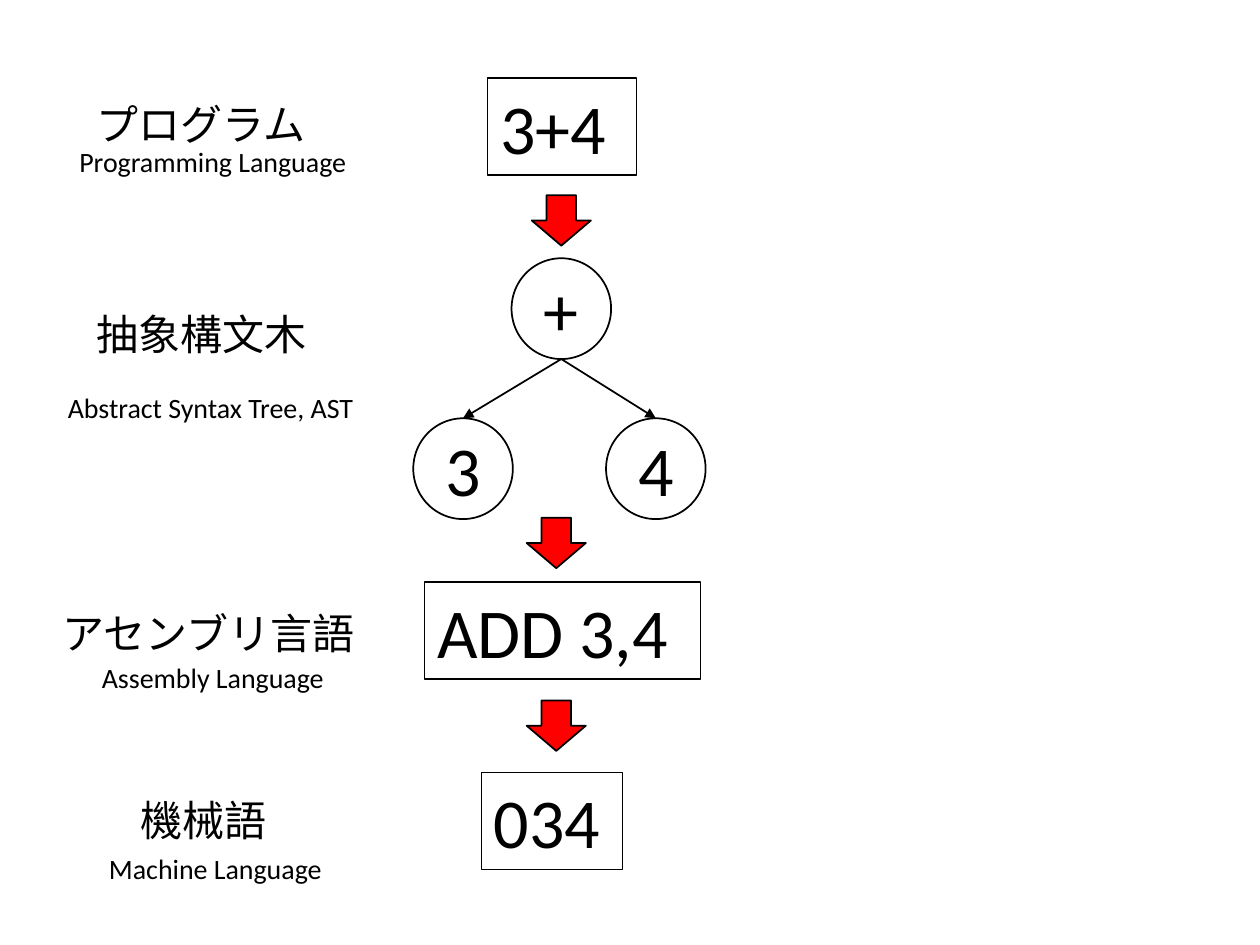
from lxml.etree import SubElement
from pptx import Presentation
from pptx.dml.color import RGBColor
from pptx.enum.shapes import MSO_CONNECTOR, MSO_SHAPE
from pptx.enum.text import MSO_ANCHOR, MSO_AUTO_SIZE, PP_ALIGN
from pptx.oxml.ns import qn
from pptx.util import Inches, Pt


def color(value):
    return RGBColor.from_string(value)


class Board:
    font = "Calibri"
    ink = "000000"
    accent = "FF0000"

    def __init__(self, slide):
        self.slide = slide

    def letter(self, item, text, size, align, anchor, grow):
        frame = item.text_frame
        frame.text = text
        style = {
            "word_wrap": True,
            "vertical_anchor": anchor,
            "auto_size": MSO_AUTO_SIZE.SHAPE_TO_FIT_TEXT if grow else MSO_AUTO_SIZE.NONE,
        }
        for name, value in style.items():
            setattr(frame, name, value)
        line = frame.paragraphs[0]
        line.alignment = align
        font = line.runs[0].font
        for name, value in {"name": self.font, "size": Pt(size)}.items():
            setattr(font, name, value)
        font.color.rgb = color(self.ink)

    def label(self, text, box, size, align=PP_ALIGN.LEFT):
        item = self.slide.shapes.add_textbox(*map(Inches, box))
        self.letter(item, text, size, align, MSO_ANCHOR.TOP, True)

    def shape(self, kind, box, width, fill=None):
        item = self.slide.shapes.add_shape(kind, *map(Inches, box))
        item.shadow.inherit = False
        if fill:
            item.fill.solid()
            item.fill.fore_color.rgb = color(fill)
        else:
            item.fill.background()
        item.line.color.rgb = color(self.ink)
        item.line.width = Pt(width)
        return item

    def code(self, text, left, top, width):
        item = self.shape(MSO_SHAPE.RECTANGLE, (left, top, width, 0.77), 0.75)
        self.letter(item, text, 40, PP_ALIGN.LEFT, MSO_ANCHOR.TOP, True)

    def node(self, text, left, top):
        item = self.shape(MSO_SHAPE.OVAL, (left, top, 0.79, 0.8), 1)
        self.letter(item, text, 40, PP_ALIGN.CENTER, MSO_ANCHOR.MIDDLE, False)
        return item

    def arrow(self, left, top):
        self.shape(MSO_SHAPE.DOWN_ARROW, (left, top, 0.47, 0.4), 1, self.accent)

    def edge(self, parent, child):
        link = self.slide.shapes.add_connector(
            MSO_CONNECTOR.STRAIGHT,
            parent.left + parent.width // 2,
            parent.top + parent.height,
            child.left + child.width // 2,
            child.top,
        )
        link.line.color.rgb = color(self.ink)
        link.line.width = Pt(1)
        props = link.element.spPr
        SubElement(props.find(qn("a:ln")), qn("a:tailEnd"), type="triangle")
        SubElement(props, qn("a:effectLst"))


deck = Presentation()
deck.slide_width, deck.slide_height = Inches(10), Inches(7.5)
board = Board(deck.slides.add_slide(deck.slide_layouts[6]))

for text, left, top, width in (
    ("3+4", 3.87, 0.62, 1.18),
    ("ADD 3,4", 3.37, 4.62, 2.19),
    ("034", 3.82, 6.13, 1.12),
):
    board.code(text, left, top, width)

root = board.node("+", 4.06, 2.05)
for text, left in (("3", 3.28), ("4", 4.81)):
    board.edge(root, board.node(text, left, 3.32))

for left, top in ((4.22, 1.55), (4.18, 4.11), (4.18, 5.56)):
    board.arrow(left, top)

for text, left, top, width in (
    ("プログラム", 0.67, 0.73, 2.05),
    ("抽象構文木", 0.67, 2.4, 2.05),
    ("アセンブリ言語", 0.4, 4.77, 2.67),
    ("機械語", 1.02, 6.26, 1.34),
):
    board.label(text, (left, top, width, 0.5), 24)

for text, left, top, align in (
    ("Programming Language", 0.31, 1.1, PP_ALIGN.CENTER),
    ("Abstract Syntax Tree, AST", 0.44, 3.05, PP_ALIGN.LEFT),
    ("Assembly Language", 0.31, 5.19, PP_ALIGN.CENTER),
    ("Machine Language", 0.33, 6.71, PP_ALIGN.CENTER),
):
    board.label(text, (left, top, 2.76, 0.37), 16, align)

deck.save("out.pptx")
